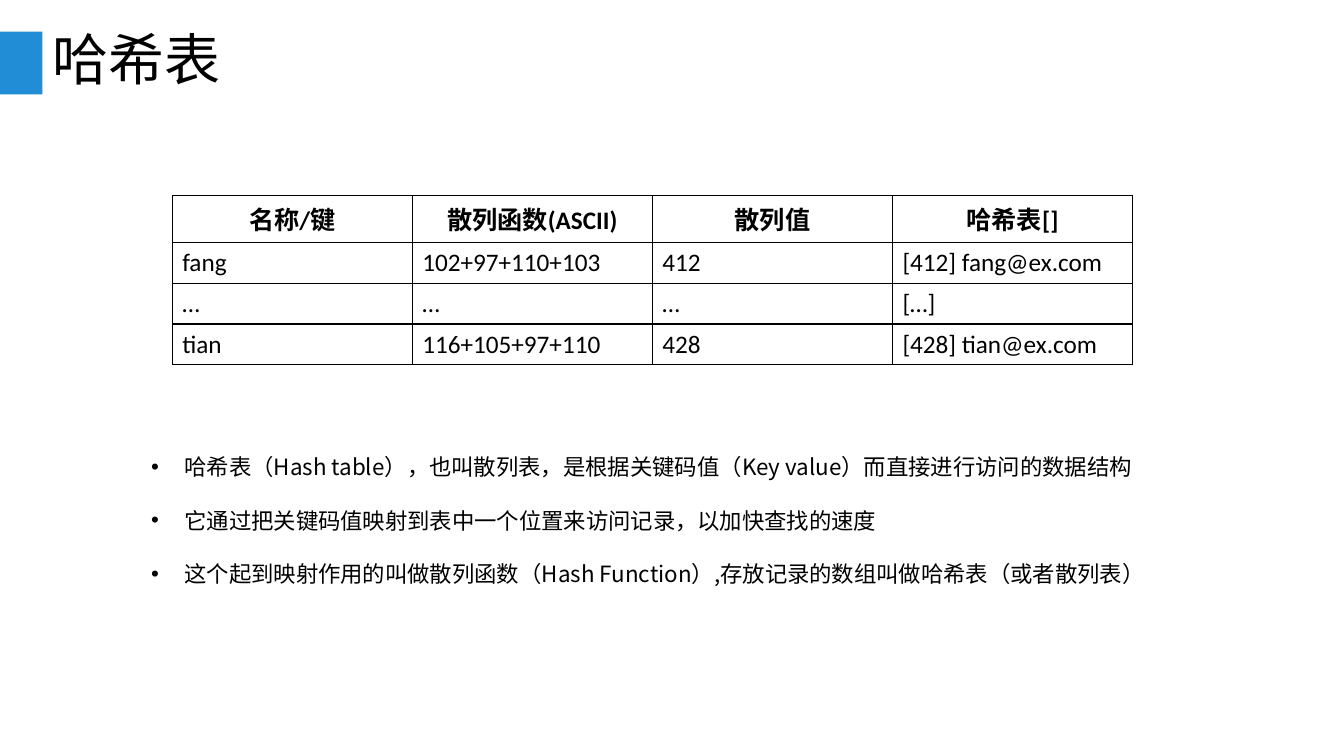
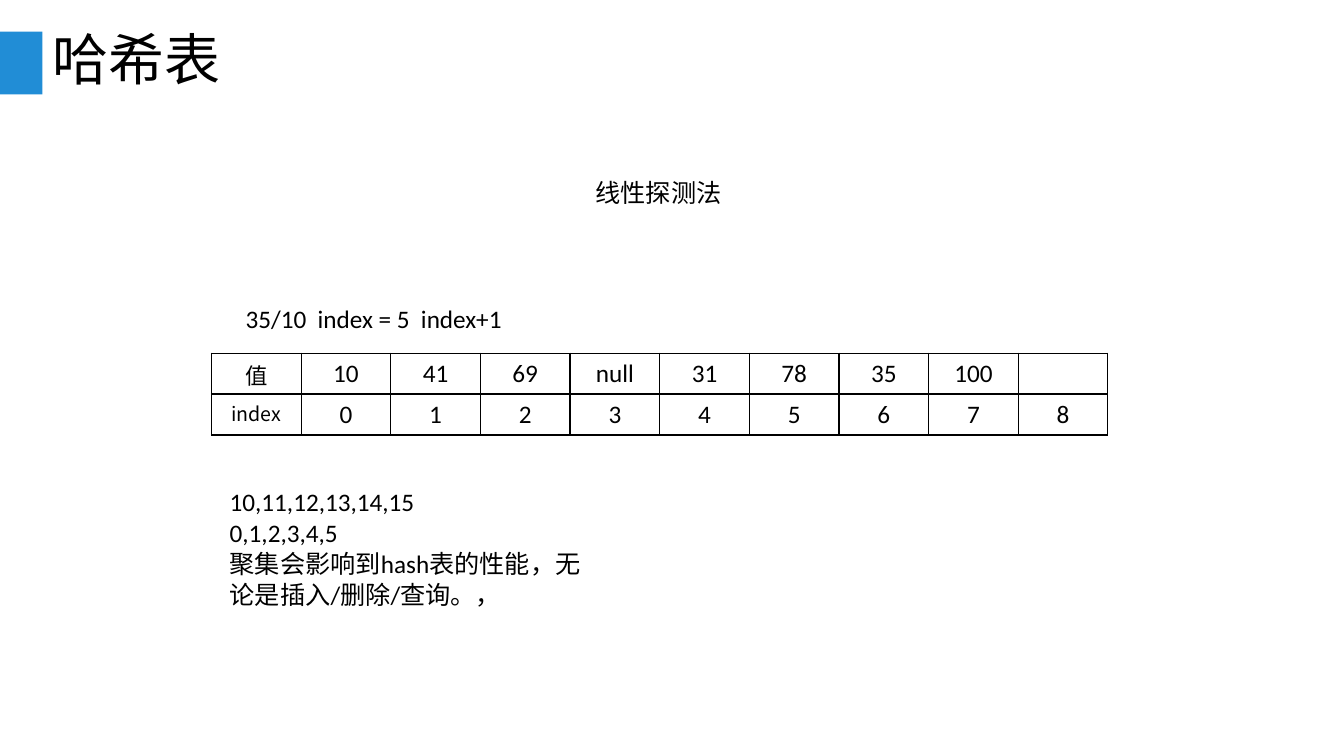
"""Build two slides that explain hash tables and linear probing."""
from lxml import etree
from pptx import Presentation
from pptx.dml.color import RGBColor
from pptx.enum.shapes import MSO_SHAPE
from pptx.enum.text import MSO_ANCHOR, MSO_AUTO_SIZE, PP_ALIGN
from pptx.oxml.ns import qn
from pptx.util import Cm, Pt

BLUE = RGBColor(0x21, 0x8D, 0xD6)
BLACK = RGBColor(0, 0, 0)
WHITE = RGBColor(255, 255, 255)
LATIN_FONT = "Calibri"
CHINESE_FONT = "Noto Sans CJK SC"
RECTANGLE = MSO_SHAPE.RECTANGLE
MIDDLE = MSO_ANCHOR.MIDDLE
FIT_SHAPE = MSO_AUTO_SIZE.SHAPE_TO_FIT_TEXT
LEFT, CENTER, JUSTIFY = PP_ALIGN.LEFT, PP_ALIGN.CENTER, PP_ALIGN.JUSTIFY
ROW_HEIGHT = Cm(1.03)
BULLET_INDENT = Cm(0.84)


def write_text(paragraph, text, *, font=LATIN_FONT, size=18, bold=False,
               align=LEFT, spacing=None, bullet=False):
    """Put formatted text into a paragraph."""
    paragraph.alignment = align
    if spacing:
        paragraph.line_spacing = spacing
    if bullet:
        properties = paragraph._p.get_or_add_pPr()
        properties.set("marL", str(BULLET_INDENT))
        properties.set("indent", str(-BULLET_INDENT))
        etree.SubElement(properties, qn("a:buFont")).set("typeface", "Arial")
        etree.SubElement(properties, qn("a:buChar")).set("char", "•")
    run = paragraph.add_run()
    run.text = text
    run.font.name = font
    run.font.size = Pt(size)
    run.font.bold = bold
    run.font.color.rgb = BLACK
    east_asian = etree.SubElement(run._r.get_or_add_rPr(), qn("a:ea"))
    east_asian.set("typeface", CHINESE_FONT)


class Deck:
    """Hold the shared style and the current slide."""

    def __init__(self):
        """Start a widescreen presentation."""
        self.presentation = Presentation()
        self.presentation.slide_width = Cm(33.87)
        self.presentation.slide_height = Cm(19.05)
        self.slide = None

    def add_slide(self, title):
        """Add a slide with the blue marker and a title."""
        layout = self.presentation.slide_layouts[6]
        self.slide = self.presentation.slides.add_slide(layout)
        marker = self.slide.shapes.add_shape(
            RECTANGLE, 0, Cm(0.8), Cm(1.07), Cm(1.58))
        marker.shadow.inherit = False
        marker.fill.solid()
        marker.fill.fore_color.rgb = BLUE
        marker.line.fill.background()
        frame = self.add_text([title], 1.07, 0.76, 31.75, 1.63,
                              font=CHINESE_FONT, size=40, spacing=0.9)
        frame.auto_size = MSO_AUTO_SIZE.NONE
        frame.vertical_anchor = MIDDLE

    def add_text(self, lines, left, top, width, height, wrap=True, **style):
        """Add a text box with one paragraph per line."""
        box = self.slide.shapes.add_textbox(
            Cm(left), Cm(top), Cm(width), Cm(height))
        frame = box.text_frame
        frame.word_wrap = wrap
        frame.auto_size = FIT_SHAPE
        for index, line in enumerate(lines):
            paragraph = frame.add_paragraph() if index else frame.paragraphs[0]
            write_text(paragraph, line, **style)
        return frame

    def add_table(self, rows, left, top, column_width, style_for):
        """Add a bordered table, styled by row and column number."""
        columns = len(rows[0])
        table = self.slide.shapes.add_table(
            len(rows), columns, Cm(left), Cm(top),
            Cm(column_width * columns), ROW_HEIGHT * len(rows)).table
        table.first_row = False
        table.horz_banding = False
        for column in table.columns:
            column.width = Cm(column_width)
        for row_number, values in enumerate(rows):
            for column_number, value in enumerate(values):
                cell = table.cell(row_number, column_number)
                self.format_cell(cell)
                if value:
                    write_text(cell.text_frame.paragraphs[0], value,
                               **style_for(row_number, column_number))

    def format_cell(self, cell):
        """Give a cell black borders and a white fill."""
        properties = cell._tc.get_or_add_tcPr()
        for side in ("lnL", "lnR", "lnT", "lnB"):
            border = etree.SubElement(properties, qn(f"a:{side}"))
            border.set("w", str(Pt(1)))
            fill = etree.SubElement(border, qn("a:solidFill"))
            etree.SubElement(fill, qn("a:srgbClr")).set("val", str(BLACK))
        cell.fill.solid()
        cell.fill.fore_color.rgb = WHITE


def hash_style(row, column):
    """Centre and embolden the header row."""
    return {"bold": True, "align": CENTER} if row == 0 else {}


def probing_style(row, column):
    """Set the label column in the Chinese font."""
    if column == 0:
        return {"font": CHINESE_FONT, "size": (16, 14)[row], "align": CENTER}
    return {"align": CENTER}


def build_hash_table(deck):
    """Build the slide that defines the hash table."""
    deck.add_slide("哈希表")
    deck.add_table([
        ["名称/键", "散列函数(ASCII)", "散列值", "哈希表[]"],
        ["fang", "102+97+110+103", "412", "[412] fang@ex.com"],
        ["…", "…", "…", "[…]"],
        ["tian", "116+105+97+110", "428", "[428] tian@ex.com"],
    ], 4.34, 4.93, 6.05, hash_style)
    frame = deck.add_text([
        "哈希表（Hash table），也叫散列表，是根据关键码值（Key value）而直接进行访问的数据结构",
        "它通过把关键码值映射到表中一个位置来访问记录，以加快查找的速度",
        "这个起到映射作用的叫做散列函数（Hash Function）,存放记录的数组叫做哈希表（或者散列表）",
    ], 3.73, 10.64, 30.6, 4.17, font=CHINESE_FONT, size=16,
        align=JUSTIFY, spacing=Pt(38), bullet=True)
    frame.margin_left = frame.margin_right = Cm(0.08)


def build_linear_probing(deck):
    """Build the slide on linear probing."""
    deck.add_slide("哈希表")
    values = ["10", "41", "69", "null", "31", "78", "35", "100", ""]
    indexes = [str(index) for index in range(len(values))]
    deck.add_table([["值"] + values, ["index"] + indexes],
                   5.33, 8.9, 2.26, probing_style)
    deck.add_text(["35/10  index = 5  index+1"],
                  5.94, 7.52, 7.06, 1.02, wrap=False)
    deck.add_text(["线性探测法"], 14.76, 4.34, 3.71, 1.02,
                  wrap=False, font=CHINESE_FONT)
    deck.add_text([
        "10,11,12,13,14,15",
        "0,1,2,3,4,5",
        "聚集会影响到hash表的性能，无论是插入/删除/查询。，",
    ], 5.54, 12.12, 9.8, 3.33, spacing=Pt(22))


deck = Deck()
build_hash_table(deck)
build_linear_probing(deck)
deck.presentation.save("out.pptx")
